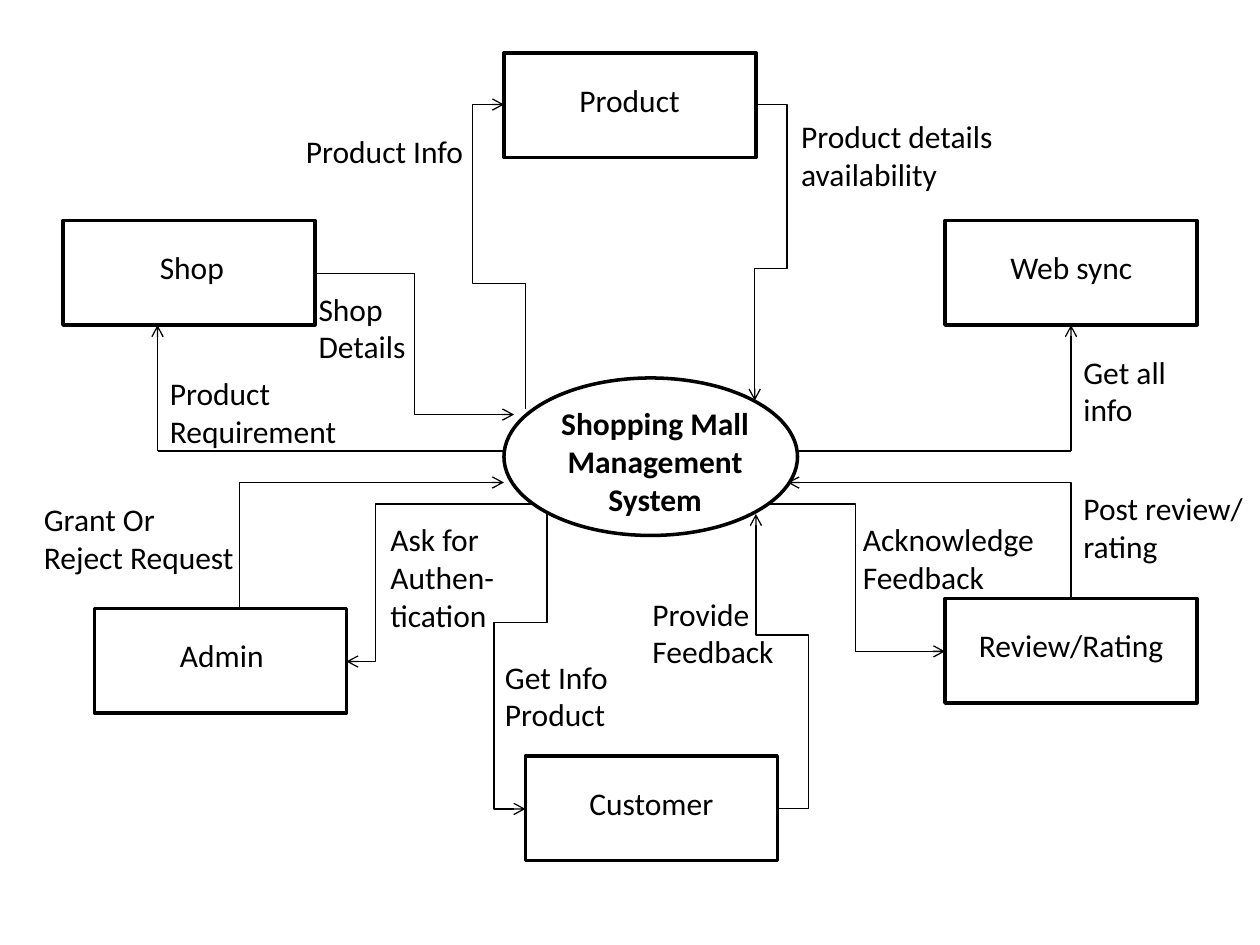
from lxml import etree
from pptx import Presentation
from pptx.dml.color import RGBColor
from pptx.enum.shapes import MSO_CONNECTOR, MSO_SHAPE
from pptx.enum.text import PP_ALIGN
from pptx.oxml.ns import qn
from pptx.util import Inches, Pt

BLACK = RGBColor(0, 0, 0)
RECTANGLE, OVAL = MSO_SHAPE.RECTANGLE, MSO_SHAPE.OVAL
STRAIGHT, ELBOW = MSO_CONNECTOR.STRAIGHT, MSO_CONNECTOR.ELBOW
LEFT, CENTER = PP_ALIGN.LEFT, PP_ALIGN.CENTER
FONT = "Calibri"
ENTITY_SIZE = (2, 0.83)
NAME_DROP = 0.17
LINE_HEIGHT = 0.3
TEXT_MARGINS = 0.1
WIDTH_SLACK = 0.04

SYSTEM_OVAL = (4, 3, 2.33, 1.25)
SYSTEM_NAME = ("Shopping Mall\nManagement\nSystem", 4.32, 3.16, 1.72)

# name, left, top, name left, name width
ENTITIES = [
    ("Product", 4, 0.42, 4.5, 1.01),
    ("Web sync", 7.5, 1.75, 7.92, 1.24),
    ("Customer", 4.17, 6, 4.58, 1.2),
    ("Review/Rating", 7.5, 4.75, 7.67, 1.68),
    ("Shop", 0.5, 1.75, 1.17, 0.72),
    ("Admin", 0.75, 4.83, 1.33, 0.87),
]

# text, left, top, width
FLOW_LABELS = [
    ("Get all\ninfo", 8.5, 2.75, 0.87),
    ("Product Info", 2.33, 1, 1.46),
    ("Product details\navailability", 6.26, 0.88, 1.74),
    ("Shop\nDetails", 2.43, 2.25, 0.9),
    ("Product\nRequirement", 1.25, 2.92, 1.6),
    ("Grant Or\nReject Request", 0.25, 3.92, 1.73),
    ("Ask for\nAuthen-\ntication", 3, 4.08, 2.5),
    ("Get Info\nProduct", 3.91, 5.17, 1.09),
    ("Provide\nFeedback", 5.08, 4.67, 1.17),
    ("Acknowledge\nFeedback", 6.75, 4.08, 1.63),
    ("Post review/\nrating", 8.5, 3.83, 1.48),
]

# corner points of each bent flow, arrowhead at the last one
BENT_FLOWS = [
    [(6, 0.83), (6.25, 0.83), (6.25, 2.13), (5.99, 2.13), (5.99, 3.18)],
    [(6.17, 6.42), (6.42, 6.42), (6.42, 5.04), (6, 5.04), (6, 4.08)],
    [(4.34, 4.07), (4.34, 4.94), (3.92, 4.94), (3.92, 6.42), (4.17, 6.42)],
    [(8.5, 4.75), (8.5, 3.83), (6.25, 3.83)],
    [(2.5, 2.17), (3.29, 2.17), (3.29, 3.29), (4.08, 3.29)],
    [(4.17, 3.25), (4.17, 2.25), (3.75, 2.25), (3.75, 0.83), (4, 0.83)],
    [(4.25, 4), (2.98, 4), (2.98, 5.25), (2.75, 5.25)],
    [(1, 4.83), (1.9, 4.83), (1.9, 3.83), (4, 3.83)],
    [(6.08, 4), (6.79, 4), (6.79, 5.17), (7.5, 5.17)],
]

# start, end, has arrowhead
STRAIGHT_FLOWS = [
    ((8.5, 3.58), (8.5, 2.58), True),
    ((6.33, 3.58), (8.5, 3.58), False),
    ((1.25, 3.58), (1.25, 2.58), True),
    ((4, 3.58), (1.25, 3.58), False),
]


def add_outline(slide, kind, box):
    """Add an unfilled shape with a thick black outline."""
    outline = slide.shapes.add_shape(kind, *map(Inches, box))
    outline.shadow.inherit = False
    outline.fill.background()
    outline.line.color.rgb = BLACK
    outline.line.width = Pt(2)


def add_label(slide, text, left, top, width, align=LEFT, bold=False):
    """Add a text box as tall as its lines."""
    height = TEXT_MARGINS + LINE_HEIGHT * (text.count("\n") + 1)
    label = slide.shapes.add_textbox(
        Inches(left), Inches(top), Inches(width + WIDTH_SLACK), Inches(height))
    label.text_frame.word_wrap = True
    label.text_frame.text = text
    for paragraph in label.text_frame.paragraphs:
        paragraph.alignment = align
        for run in paragraph.runs:
            run.font.name = FONT
            run.font.size = Pt(18)
            run.font.bold = bold
            run.font.color.rgb = BLACK


def add_flow(slide, kind, start, end, arrow=True):
    """Add a thin black connector, with an open arrowhead if wanted."""
    flow = slide.shapes.add_connector(kind, *map(Inches, start + end))
    flow.line.color.rgb = BLACK
    flow.line.width = Pt(0.75)
    if arrow:
        etree.SubElement(flow.line._get_or_add_ln(), qn("a:tailEnd"), type="arrow")
    etree.SubElement(flow._element.spPr, qn("a:effectLst"))
    return flow


def add_bent_flow(slide, points):
    """Add an elbow connector through the given corner points."""
    (x1, y1), (x2, y2) = points[0], points[-1]
    dx, dy = x2 - x1, y2 - y1
    if points[1][1] == y1:
        rotation, flip_h, flip_v = 0, dx < 0, dy < 0
        width, height = abs(dx), abs(dy)
    else:
        rotation, flip_h, flip_v = (90 if dy > 0 else 270), False, dx * dy > 0
        width, height = abs(dy), abs(dx)
    left, top = (x1 + x2 - width) / 2, (y1 + y2 - height) / 2
    flow = add_flow(slide, ELBOW, (left, top), (left + width, top + height))

    properties = flow._element.spPr
    frame = properties.find(qn("a:xfrm"))
    frame.set("rot", str(rotation * 60000))
    frame.set("flipH", str(int(flip_h)))
    frame.set("flipV", str(int(flip_v)))
    geometry = properties.find(qn("a:prstGeom"))
    geometry.set("prst", f"bentConnector{len(points) - 1}")
    guides = geometry.find(qn("a:avLst"))
    for number, (before, corner) in enumerate(zip(points, points[1:-2]), 1):
        ratio = (corner[0] - x1) / dx if before[1] == corner[1] else (corner[1] - y1) / dy
        etree.SubElement(guides, qn("a:gd"), name=f"adj{number}",
                         fmla=f"val {round(ratio * 100000)}")


presentation = Presentation()
presentation.slide_width, presentation.slide_height = Inches(10), Inches(7.5)
slide = presentation.slides.add_slide(presentation.slide_layouts[6])

add_outline(slide, OVAL, SYSTEM_OVAL)
for name, left, top, name_left, name_width in ENTITIES:
    add_outline(slide, RECTANGLE, (left, top, *ENTITY_SIZE))
for corners in BENT_FLOWS:
    add_bent_flow(slide, corners)
for start, end, arrow in STRAIGHT_FLOWS:
    add_flow(slide, STRAIGHT, start, end, arrow)
for name, left, top, name_left, name_width in ENTITIES:
    add_label(slide, name, name_left, top + NAME_DROP, name_width)
add_label(slide, *SYSTEM_NAME, align=CENTER, bold=True)
for flow_label in FLOW_LABELS:
    add_label(slide, *flow_label)

presentation.save("out.pptx")
